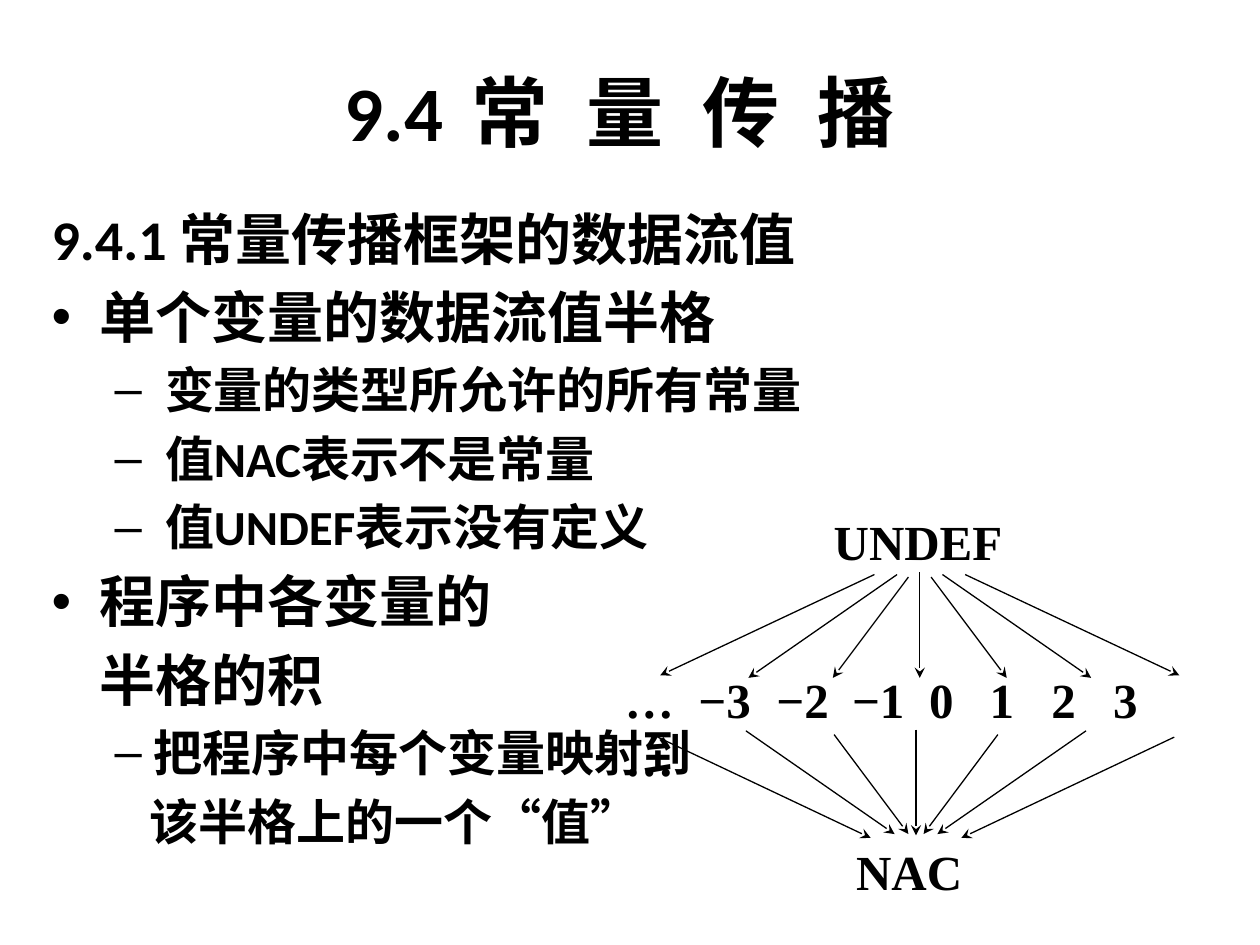
from lxml.etree import SubElement
from pptx import Presentation
from pptx.dml.color import RGBColor
from pptx.enum.shapes import MSO_CONNECTOR
from pptx.enum.text import MSO_ANCHOR, MSO_AUTO_SIZE, PP_ALIGN
from pptx.oxml.ns import qn
from pptx.util import Inches, Pt

BLACK = "000000"
CHINESE = "Noto Sans CJK SC"


def color(value):
    return RGBColor.from_string(value)


def add_text(paragraph, text, size, latin):
    run = paragraph.add_run()
    run.text = text
    look = {"size": Pt(size), "bold": True, "name": latin}
    for key, value in look.items():
        setattr(run.font, key, value)
    run.font.color.rgb = color(BLACK)
    SubElement(run.font._element, qn("a:ea"), typeface=CHINESE)
    return run


prs = Presentation()
prs.slide_width, prs.slide_height = Inches(10), Inches(7.5)
slide = prs.slides.add_slide(prs.slide_layouts[1])
title, outline = slide.placeholders

# Placeholder positions
places = [(title, (0.42, 0.25, 9, 1.25)), (outline, (0.31, 1.57, 9.37, 5.67))]
for holder, box in places:
    for key, value in zip(("left", "top", "width", "height"), box):
        setattr(holder, key, Inches(value))
    holder.text_frame.auto_size = MSO_AUTO_SIZE.NONE

# Title, with widely set characters
title.text_frame.vertical_anchor = MSO_ANCHOR.MIDDLE
heading = title.text_frame.paragraphs[0]
heading.alignment = PP_ALIGN.CENTER
add_text(heading, "9.4", 44, "Calibri")
topic = add_text(heading, " 常 量 传 播", 44, CHINESE)
topic.font._element.set("spc", "600")

# Outline: level, bulleted, left margin, first-line indent, text
points = [
    (0, False, 0.38, -0.38, "9.4.1 常量传播框架的数据流值"),
    (0, True, 0.38, -0.38, "单个变量的数据流值半格"),
    (1, True, 0.9, -0.4, "变量的类型所允许的所有常量"),
    (1, True, 0.9, -0.4, "值NAC表示不是常量"),
    (1, True, 0.9, -0.4, "值UNDEF表示没有定义"),
    (0, True, 0.38, -0.38, "程序中各变量的"),
    (0, False, 0.38, 0, "半格的积"),
    (1, True, 0.81, -0.31, "把程序中每个变量映射到"),
    (1, False, 0.78, 0, "该半格上的一个“值”"),
]
for index, (level, bulleted, margin, indent, text) in enumerate(points):
    frame = outline.text_frame
    point = frame.add_paragraph() if index else frame.paragraphs[0]
    point.level = level
    add_text(point, text, 28 if level else 32, "Calibri")
    settings = point._p.get_or_add_pPr()
    settings.set("marL", str(Inches(margin)))
    settings.set("indent", str(Inches(indent)))
    if not bulleted:
        SubElement(settings, qn("a:buNone"))

# Lattice rows: top, constants, bottom
constants = "…\t−3\t−2\t−1\t0\t1\t2\t3\t…"
rows = [
    ("UNDEF", 6.54, 4.06, 1.49, 0.45),
    (constants, 4.92, 5.31, 4.72, 0.48),
    ("NAC", 6.47, 6.68, 1.49, 0.45),
]
for text, *box in rows:
    frame = slide.shapes.add_textbox(*map(Inches, box)).text_frame
    margins = {"margin_left": 0.04, "margin_right": 0.04,
               "margin_top": 0, "margin_bottom": 0}
    for key, value in margins.items():
        setattr(frame, key, Inches(value))
    frame.word_wrap = True
    row = frame.paragraphs[0]
    row.alignment = PP_ALIGN.LEFT if text == constants else PP_ALIGN.CENTER
    add_text(row, text, 28, "Times New Roman")
    if text == constants:
        stops = SubElement(row._p.get_or_add_pPr(), qn("a:tabLst"))
        for stop in (0.79, 1.41, 2.01, 2.51, 2.99, 3.48, 3.97, 4.45):
            SubElement(stops, qn("a:tab"), pos=str(Inches(stop)), algn="ctr")

# Arrows mirrored about a centre: start offset, start y, end offset, end y
fans = {
    7.3: [(0, 4.54, 0, 5.38), (0.09, 4.58, 0.69, 5.38),
          (0.18, 4.56, 1.36, 5.38), (0.36, 4.56, 2.06, 5.36)],
    7.27: [(0, 5.79, 0, 6.63), (0.65, 5.83, 0.06, 6.62),
           (1.35, 5.8, 0.17, 6.62), (2.05, 5.85, 0.36, 6.65)],
}
for center, arrows in fans.items():
    for start, start_y, end, end_y in arrows:
        for side in (-1, 1) if start else (1,):
            ends = (center + side * start, start_y, center + side * end, end_y)
            arrow = slide.shapes.add_connector(
                MSO_CONNECTOR.STRAIGHT, *map(Inches, ends))
            arrow.line.color.rgb = color(BLACK)
            arrow.line.width = Pt(0.75)
            SubElement(arrow.line._get_or_add_ln(), qn("a:tailEnd"), type="stealth")
            SubElement(arrow._element.spPr, qn("a:effectLst"))

prs.save("out.pptx")
